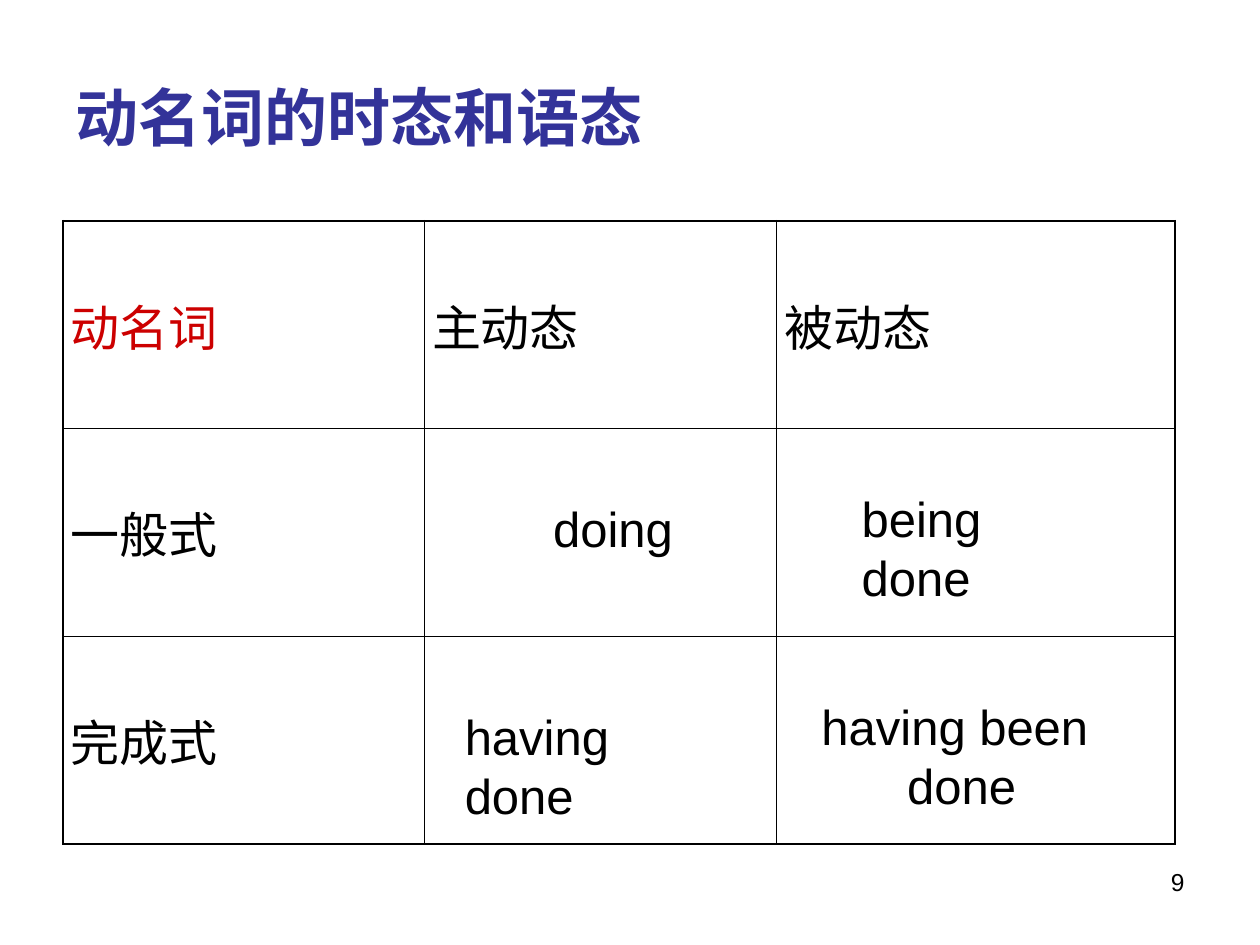
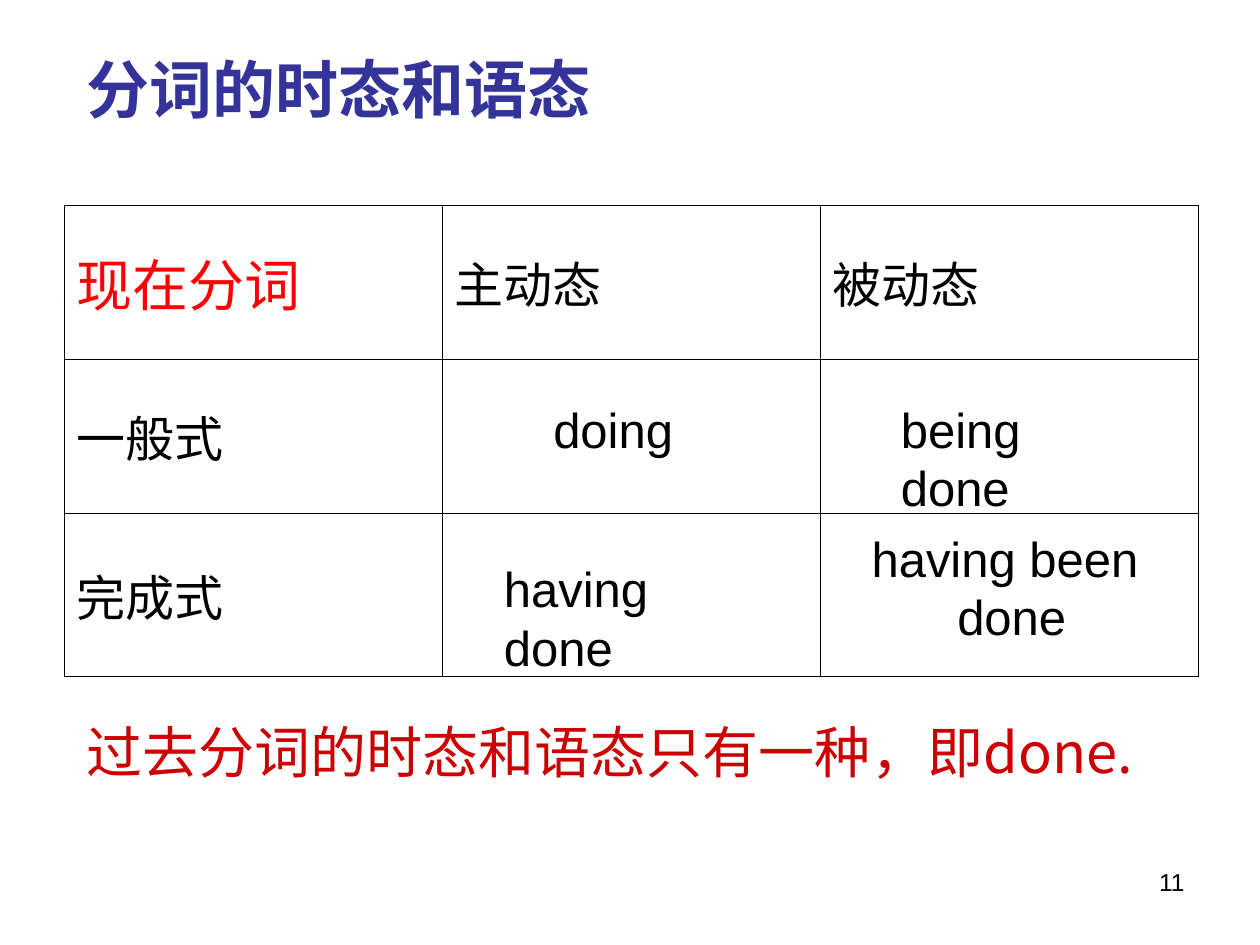
from lxml.etree import SubElement
from pptx import Presentation
from pptx.dml.color import RGBColor
from pptx.enum.text import MSO_ANCHOR as Anchor, MSO_AUTO_SIZE as AutoSize, PP_ALIGN as Align
from pptx.oxml.ns import qn
from pptx.util import Cm, Pt

BLACK, RED, BRIGHT_RED, NAVY = "000000", "CC0000", "FF0000", "333399"
LATIN_FONT, CHINESE_FONT = "Arial", "Noto Sans CJK SC"
THICK, THIN = Pt(1.08), Pt(0.45)
BLANK_LAYOUT = 6
TENSES = ("一般式", "完成式")
VOICES = ("主动态", "被动态")


def color(hex_string):
    return RGBColor.from_string(hex_string)


class GrammarDeck:
    """Holds the shared style and the slide being filled."""

    def __init__(self):
        self.presentation = Presentation()
        self.presentation.slide_width = Cm(25.4)
        self.presentation.slide_height = Cm(19.05)
        self.slide = None

    def add_slide(self, number):
        layout = self.presentation.slide_layouts[BLANK_LAYOUT]
        self.slide = self.presentation.slides.add_slide(layout)
        self.text(str(number), 18.21, 17.35, 5.92, 1.32, size=14, align=Align.RIGHT)

    def format(self, text_frame, size, ink=BLACK, bold=False, align=Align.LEFT,
               latin=LATIN_FONT):
        for paragraph in text_frame.paragraphs:
            paragraph.alignment = align
            for run in paragraph.runs:
                font = run.font
                font.size, font.bold, font.name = Pt(size), bold, latin
                font.color.rgb = color(ink)
                east_asian = SubElement(font._element, qn("a:ea"))
                east_asian.set("typeface", CHINESE_FONT)

    def text(self, words, left, top, width, height, wrap=True, anchor=Anchor.TOP, **style):
        box = self.slide.shapes.add_textbox(Cm(left), Cm(top), Cm(width), Cm(height))
        frame = box.text_frame
        frame.text = words
        frame.word_wrap = wrap
        frame.auto_size = AutoSize.NONE if wrap else AutoSize.SHAPE_TO_FIT_TEXT
        frame.vertical_anchor = anchor
        self.format(frame, **style)

    def title(self, words, left, top, height):
        self.text(words, left, top, 22.86, height, anchor=Anchor.MIDDLE,
                  size=36, ink=NAVY, bold=True)

    def verb_form(self, words, left, top, width, align=Align.LEFT):
        """Places an English form over the table, one paragraph per line."""
        height = 1.45 if "\n" not in words else 2.64
        self.text(words, left, top, width, height, wrap=False, size=28, align=align)

    def borders(self, cell, widths):
        """Draws the left, right, top and bottom edges of a cell."""
        properties = cell._tc.get_or_add_tcPr()
        for edge, width in zip("LRTB", widths):
            line = SubElement(properties, qn(f"a:ln{edge}"), w=str(int(width)))
            fill = SubElement(line, qn("a:solidFill"))
            SubElement(fill, qn("a:srgbClr"), val=BLACK)

    def tense_table(self, heading, left, top, columns, rows, margin, heading_size, heading_ink):
        """Labels the first row and column; the other cells stay empty."""
        frame = self.slide.shapes.add_table(
            len(rows), len(columns), Cm(left), Cm(top), Cm(sum(columns)), Cm(sum(rows)))
        table = frame.table
        table.first_row = table.horz_banding = False
        for column, width in zip(table.columns, columns):
            column.width = Cm(width)
        for row, height in zip(table.rows, rows):
            row.height = Cm(height)

        labels = {(0, 0): heading}
        labels.update({(0, i): voice for i, voice in enumerate(VOICES, 1)})
        labels.update({(i, 0): tense for i, tense in enumerate(TENSES, 1)})
        last_row, last_column = len(rows) - 1, len(columns) - 1
        for i in range(len(rows)):
            for j in range(len(columns)):
                cell = table.cell(i, j)
                outer = (j == 0, j == last_column, i == 0, i == last_row)
                self.borders(cell, [THICK if edge else THIN for edge in outer])
                cell.fill.background()
                cell.vertical_anchor = Anchor.MIDDLE
                cell.margin_left = cell.margin_right = Cm(margin)
                cell.text_frame.text = labels.get((i, j), "")
                self.format(cell.text_frame, size=28)
        heading_font = table.cell(0, 0).text_frame.paragraphs[0].runs[0].font
        heading_font.size = Pt(heading_size)
        heading_font.color.rgb = color(heading_ink)


def add_gerund_slide(deck):
    deck.add_slide(9)
    deck.title("动名词的时态和语态", 1.27, 0.76, 3.18)
    deck.tense_table("动名词", 1.27, 4.45, (7.28, 7.11, 8.03), (4.19,) * 3,
                     margin=0.16, heading_size=28, heading_ink=RED)
    deck.verb_form("doing", 10.9, 9.93, 2.92)
    deck.verb_form("being done", 17.12, 9.73, 5.38)
    deck.verb_form("having done", 9.12, 14.12, 5.87)
    deck.verb_form("having been \ndone", 16.31, 13.92, 6.15, Align.CENTER)


def add_participle_slide(deck):
    deck.add_slide(11)
    deck.title("分词的时态和语态", 1.5, 0.71, 2.16)
    deck.tense_table("现在分词", 1.3, 4.14, (7.62,) * 3, (3.1, 3.1, 3.3),
                     margin=0.25, heading_size=32, heading_ink=BRIGHT_RED)
    deck.verb_form("doing", 10.9, 7.92, 2.92, Align.CENTER)
    deck.verb_form("being done", 17.91, 7.92, 5.38)
    deck.verb_form("having done", 9.91, 11.13, 5.87)
    deck.verb_form("having been \ndone", 17.32, 10.52, 6.15, Align.CENTER)
    deck.text("过去分词的时态和语态只有一种，即done.", 1.5, 14.33, 22.2, 1.63,
              size=32, ink=RED, latin=CHINESE_FONT)


def main():
    deck = GrammarDeck()
    add_gerund_slide(deck)
    add_participle_slide(deck)
    deck.presentation.save("out.pptx")


if __name__ == "__main__":
    main()
